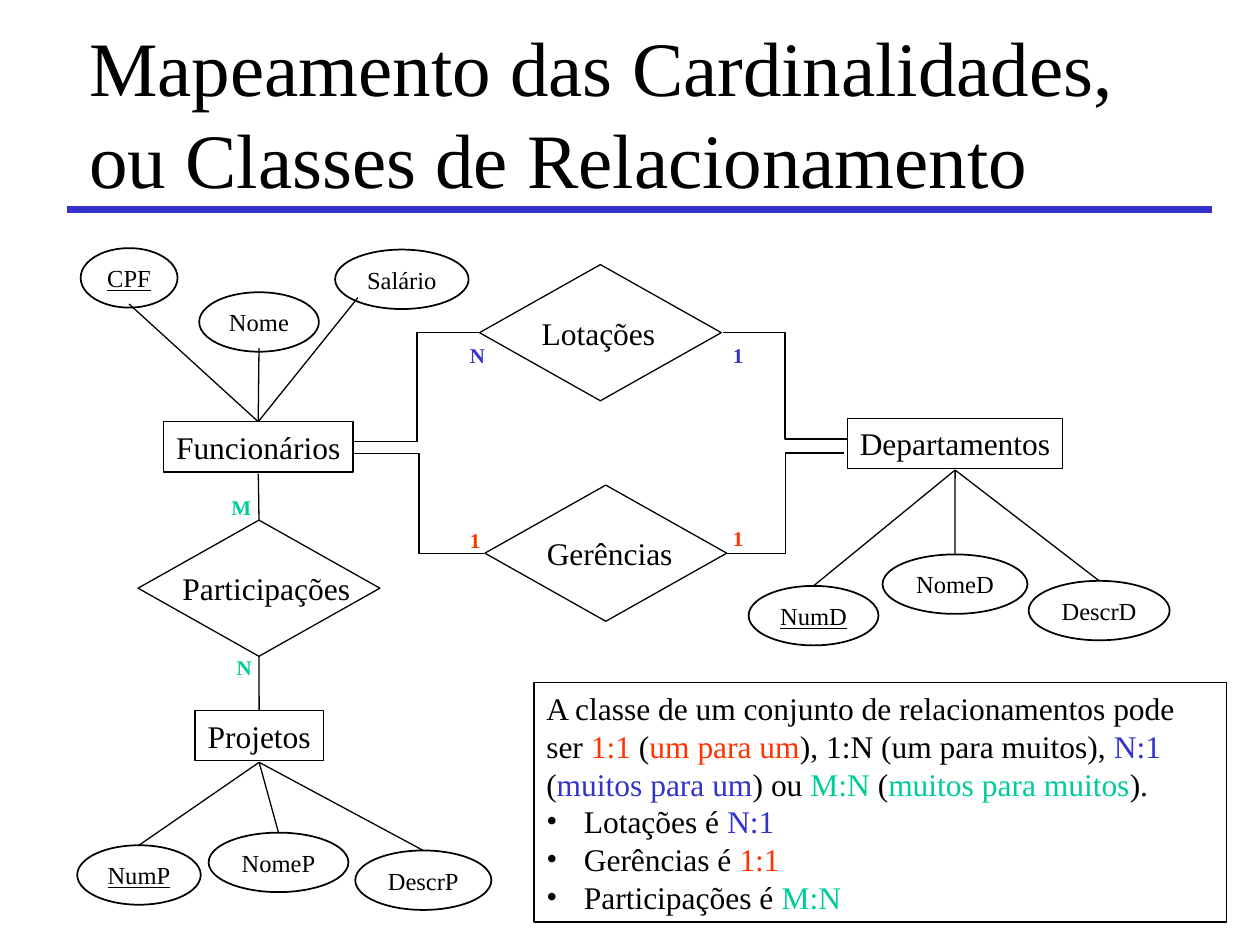
import pptx
import pptx.util
import pptx.dml.color
import pptx.enum.shapes
import pptx.enum.text
import lxml.etree

Pt = pptx.util.Pt
Kind = pptx.enum.shapes.MSO_SHAPE
Link = pptx.enum.shapes.MSO_CONNECTOR
Align = pptx.enum.text.PP_ALIGN
Anchor = pptx.enum.text.MSO_ANCHOR
FONT = "Times New Roman"
BLACK, BLUE, RED, GREEN = "000000", "3333CC", "FF3300", "00CC99"
NS = "http://schemas.openxmlformats.org/drawingml/2006/main"


def paint(code):
    """Turn a hex string into a colour."""
    return pptx.dml.color.RGBColor.from_string(code)


def bullet(para, hang):
    """Give a paragraph a round bullet with a hanging indent."""
    props = para._p.get_or_add_pPr()
    props.set("marL", str(Pt(hang)))
    props.set("indent", str(-Pt(hang)))
    lxml.etree.SubElement(props, f"{{{NS}}}buFont").set("typeface", FONT)
    lxml.etree.SubElement(props, f"{{{NS}}}buChar").set("char", "•")


def write(shape, paras, size=18, color=BLACK, bold=False, under=False,
          align=Align.LEFT, wrap=False, anchor=Anchor.MIDDLE, hang=0):
    """Fill a shape with paragraphs, each a list of (text, colour) runs."""
    if isinstance(paras, str):
        paras = [[(paras, color)]]
    frame = shape.text_frame
    frame.word_wrap = wrap
    frame.vertical_anchor = anchor
    for num, runs in enumerate(paras):
        para = frame.add_paragraph() if num else frame.paragraphs[0]
        para.alignment = align
        if hang and num:
            bullet(para, hang)
        for text, tint in runs:
            run = para.add_run()
            run.text = text
            font = run.font
            font.name, font.size, font.bold = FONT, Pt(size), bold
            font.underline = under
            font.color.rgb = paint(tint)


def label(slide, box, text, **form):
    """Place a text box."""
    write(slide.shapes.add_textbox(*map(Pt, box)), text, **form)


def outline(slide, kind, box, width=0.75):
    """Place an unfilled black outline of a preset kind."""
    shape = slide.shapes.add_shape(kind, *map(Pt, box))
    shape.shadow.inherit = False
    shape.fill.background()
    shape.line.color.rgb = paint(BLACK)
    shape.line.width = Pt(width)
    return shape


def join(slide, start, end, kind=Link.STRAIGHT, color=BLACK, width=0.75):
    """Draw a connector between two points."""
    line = slide.shapes.add_connector(kind, *map(Pt, (*start, *end)))
    line.line.color.rgb = paint(color)
    line.line.width = Pt(width)
    lxml.etree.SubElement(line._element.spPr, f"{{{NS}}}effectLst")


def entity(slide, box, name, hub, traits):
    """Draw an entity and its attributes, joined at the hub height."""
    left, top, width, _ = box
    write(outline(slide, Kind.RECTANGLE, box), name, align=Align.CENTER)
    for num, (text, dx, dy, wide, fx, fy) in enumerate(traits):
        oval = (left + dx, top + dy, wide, 34)
        write(outline(slide, Kind.OVAL, oval, 1), text, size=14,
              under=num == 0, align=Align.CENTER)
        tip = (oval[0] + fx * wide, oval[1] + fy * 34)
        join(slide, (left + width / 2, top + hub), tip)


def relation(slide, box, name, shift, color, marks):
    """Draw a relationship diamond, its name and its cardinalities."""
    left, top, width, height = box
    outline(slide, Kind.FLOWCHART_DECISION, box)
    label(slide, (left + shift, top, width, height), name, align=Align.CENTER)
    for text, dx, dy, wide in marks:
        label(slide, (left + dx, top + dy, wide, 21.6), text, size=12,
              color=color, bold=True)


def heading(slide, box):
    """Place the title and the rule under it."""
    left, top, width, height = box
    lines = ["Mapeamento das Cardinalidades,", "ou Classes de Relacionamento"]
    label(slide, box, [[(line, BLACK)] for line in lines], size=44, wrap=True)
    base = top + height + 6.3
    join(slide, (left - 5.5, base), (left + width + 3, base), color=BLUE, width=4)


def note(slide, box):
    """Place the framed explanation of the classes."""
    intro = [("A classe de um conjunto de relacionamentos pode ser ", BLACK),
             ("1:1", RED), (" (", BLACK), ("um para um", RED),
             ("), 1:N (um para muitos), ", BLACK), ("N:1", BLUE),
             (" (", BLACK), ("muitos para um", BLUE), (") ou ", BLACK),
             ("M:N", GREEN), (" (", BLACK), ("muitos para muitos", GREEN),
             (").", BLACK)]
    cases = [("Lotações", "N:1", BLUE), ("Gerências", "1:1", RED),
             ("Participações", "M:N", GREEN)]
    paras = [[(f"{name} é ", BLACK), (ratio, tint)] for name, ratio, tint in cases]
    write(outline(slide, Kind.RECTANGLE, box), [intro] + paras, wrap=True,
          anchor=Anchor.TOP, hang=21.5)


def main():
    """Build the slide and save it."""
    deck = pptx.Presentation()
    deck.slide_width, deck.slide_height = Pt(720), Pt(540)
    slide = deck.slides.add_slide(deck.slide_layouts[6])
    heading(slide, (43.9, 13.7, 645.8, 100))
    note(slide, (305.1, 390.2, 396, 136.8))

    entity(slide, (93.4, 241, 108.3, 28.8), "Funcionários", 0, [
        ("CPF", -47.3, -99.2, 55.4, 0.5, 0.94),
        ("Nome", 20.4, -74, 68.4, 0.5, 0.94),
        ("Salário", 98.1, -98.4, 76.3, 0.17, 0.81)])
    entity(slide, (484.3, 239, 123, 28.8), "Departamentos", 29.6, [
        ("NumD", -56.5, 95.8, 74.2, 0.5, 0),
        ("NomeD", 20, 77.8, 82.8, 0.5, 0),
        ("DescrD", 103.5, 92.9, 80.6, 0.5, 0)])
    entity(slide, (111.4, 406, 73.4, 28.8), "Projetos", 29.6, [
        ("NumP", -67.3, 77, 70.6, 0.5, 0),
        ("NomeP", 7.8, 69.8, 79.9, 0.5, 0),
        ("DescrP", 91.6, 80, 77.8, 0.5, 0)])

    size = (138.2, 77.8)
    relation(slide, (78.9, 297.2, *size), "Participações", 4.2, GREEN,
             [("M", 46.2, -18, 26), ("N", 49.2, 73, 23)])
    relation(slide, (274, 151.2, *size), "Lotações", -1.1, BLUE,
             [("N", -12.6, 41, 23), ("1", 137.8, 41, 20)])
    relation(slide, (277.1, 277.2, *size), "Gerências", 2.2, RED,
             [("1", -15.7, 20.4, 20), ("1", 134.7, 19.6, 20)])

    for start, end in [((147.6, 270.7), (148, 297.2)),
                       ((148, 375), (148.1, 406))]:
        join(slide, start, end)
    for start, end in [((202, 252.2), (274.6, 190)),
                       ((202, 259.2), (276.8, 316.1)),
                       ((484, 250.9), (413, 190)),
                       ((482.6, 258.8), (415, 316.1))]:
        join(slide, start, end, kind=Link.ELBOW)
    deck.save("out.pptx")


if __name__ == "__main__":
    main()
